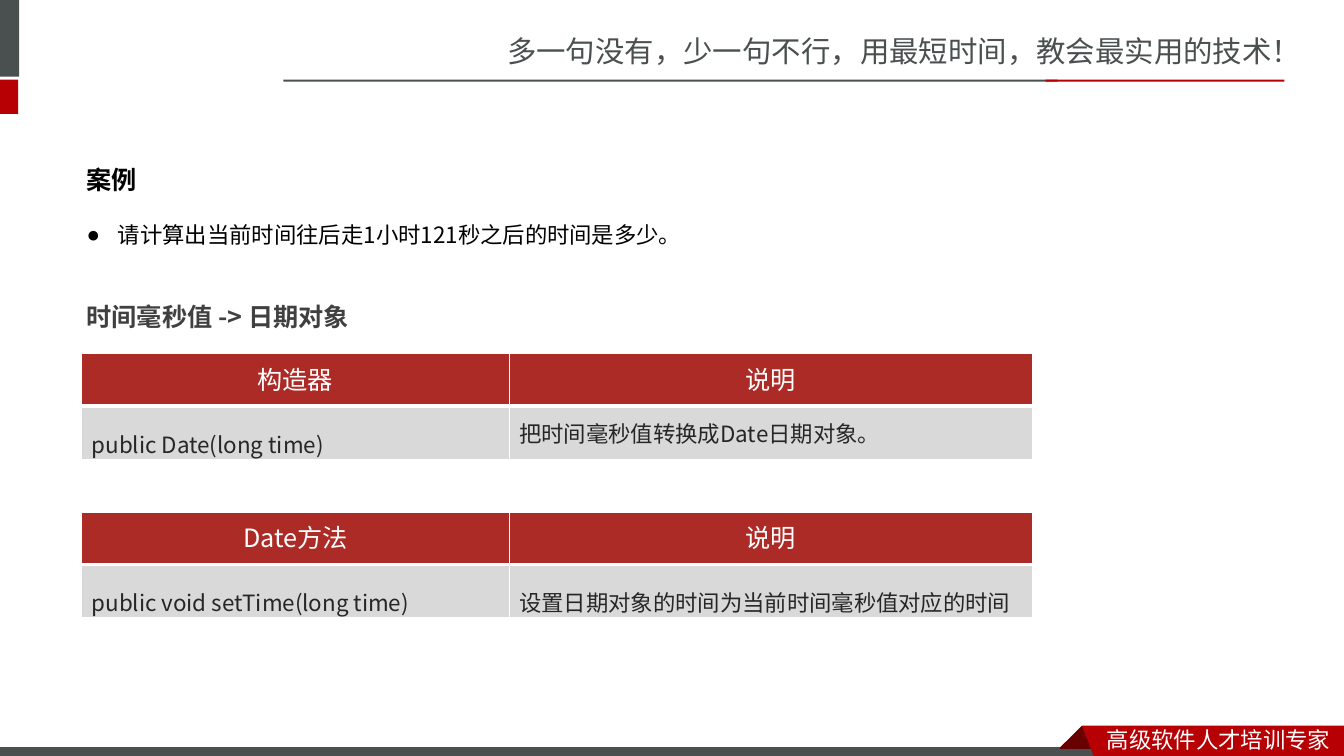
from lxml import etree
from pptx import Presentation
from pptx.dml.color import RGBColor
from pptx.enum.shapes import MSO_SHAPE
from pptx.enum.text import MSO_ANCHOR, MSO_AUTO_SIZE, PP_ALIGN
from pptx.oxml.ns import qn
from pptx.util import Pt

PX = 9144
RECTANGLE = MSO_SHAPE.RECTANGLE
TOP, MIDDLE = MSO_ANCHOR.TOP, MSO_ANCHOR.MIDDLE
LEFT, CENTER = PP_ALIGN.LEFT, PP_ALIGN.CENTER
NO_AUTOSIZE = MSO_AUTO_SIZE.NONE
SC_FONT, JP_FONT = "Noto Sans CJK SC", "Noto Sans CJK JP"
SLATE, RED, DARK_RED, WHITE = "49504F", "B60004", "680000", "FFFFFF"


def color(value):
    return RGBColor.from_string(value)


def add_run(paragraph, text, size, font_name, hex_color, bold=False):
    run = paragraph.add_run()
    run.text = text
    run.font.size = Pt(size)
    run.font.bold = bold
    run.font.color.rgb = color(hex_color)
    run.font.name = font_name
    properties = run.font._element
    etree.SubElement(properties, qn("a:ea")).set("typeface", font_name)


presentation = Presentation()
presentation.slide_width = 1333 * PX
presentation.slide_height = 750 * PX
slide = presentation.slides.add_slide(presentation.slide_layouts[1])
shapes = slide.shapes

title, body = slide.placeholders
for placeholder, box in ((title, (493, 28, 840, 47)), (body, (76, 128, 717, 117))):
    placeholder.left, placeholder.top, placeholder.width, placeholder.height = [
        length * PX for length in box
    ]
    placeholder.text_frame.auto_size = NO_AUTOSIZE
    placeholder.text_frame.vertical_anchor = TOP

slogan = title.text_frame.paragraphs[0]
slogan.alignment = LEFT
add_run(slogan, "多一句没有，少一句不行，用最短时间，教会最实用的技术！", 21, SC_FONT, SLATE)

case_heading = body.text_frame.paragraphs[0]
case_task = body.text_frame.add_paragraph()
for paragraph, indent, bullet in ((case_heading, 0, None), (case_task, 31, "●")):
    paragraph.line_spacing = 2.0
    paragraph.space_before = Pt(0)
    properties = paragraph._p.get_or_add_pPr()
    properties.set("marL", str(indent * PX))
    properties.set("indent", str(-indent * PX))
    if bullet:
        etree.SubElement(properties, qn("a:buChar")).set("char", bullet)
    else:
        etree.SubElement(properties, qn("a:buNone"))
add_run(case_heading, "案例", 18, JP_FONT, "000000", True)
add_run(case_task, "请计算出当前时间往后走1小时121秒之后的时间是多少。", 16, JP_FONT, "000000")

bars = [
    ((-6, 0, 25, 76), SLATE),
    ((-6, 79, 24, 34), RED),
    ((281, 79, 768, 2), SLATE),
    ((1037, 79, 237, 2), RED),
    ((-1, 741, 1100, 12), SLATE),
]
for box, fill in bars:
    bar = shapes.add_shape(RECTANGLE, *[length * PX for length in box])
    bar.shadow.inherit = False
    bar.fill.solid()
    bar.fill.fore_color.rgb = color(fill)
    bar.line.fill.background()
footer_bar = bar
footer_bar.line.color.rgb = color(WHITE)
footer_bar.line.width = Pt(0.75)

ribbon_parts = [
    ([(1073, 720), (1095, 742), (1094, 743), (1052, 743), (1051, 742)], DARK_RED),
    ([(1073, 720), (1333, 720), (1333, 754), (1086, 753)], RED),
]
for points, fill in ribbon_parts:
    builder = shapes.build_freeform(*points[0], scale=PX)
    builder.add_line_segments(points[1:], close=True)
    ribbon = builder.convert_to_shape()
    ribbon.shadow.inherit = False
    ribbon.fill.solid()
    ribbon.fill.fore_color.rgb = color(fill)
    ribbon.line.fill.background()

labels = [
    ((1088, 715, 245, 37), "高级软件人才培训专家", 16, SC_FONT, WHITE, False, 1.0),
    ((76, 279, 512, 109), "时间毫秒值 -> 日期对象", 18, JP_FONT, "404040", True, 1.5),
]
for box, text, size, font_name, hex_color, bold, spacing in labels:
    label = shapes.add_textbox(*[length * PX for length in box])
    label.text_frame.word_wrap = True
    paragraph = label.text_frame.paragraphs[0]
    paragraph.line_spacing = spacing
    add_run(paragraph, text, size, font_name, hex_color, bold)

tables = [
    (351, [("构造器", "说明"),
           ("public Date(long time)", "把时间毫秒值转换成Date日期对象。")]),
    (508, [("Date方法", "说明"),
           ("public void setTime(long time)", "设置日期对象的时间为当前时间毫秒值对应的时间")]),
]
for top, rows in tables:
    table = shapes.add_table(2, 2, 81 * PX, top * PX, 943 * PX, 105 * PX).table
    for column, width in zip(table.columns, (424, 519)):
        column.width = width * PX
    for row, height in zip(table.rows, (52, 53)):
        row.height = height * PX
    for row_index, texts in enumerate(rows):
        is_header = row_index == 0
        for column_index, text in enumerate(texts):
            cell = table.cell(row_index, column_index)
            cell.vertical_anchor = MIDDLE
            cell.fill.solid()
            cell.fill.fore_color.rgb = color("AD2B26" if is_header else "D9D9D9")
            thick_edge = "lnB" if is_header else "lnT"
            for position, edge in enumerate(("lnL", "lnR", "lnT", "lnB")):
                border = etree.Element(qn("a:" + edge))
                border.set("w", str(Pt(3 if edge == thick_edge else 1)))
                border_fill = etree.SubElement(border, qn("a:solidFill"))
                etree.SubElement(border_fill, qn("a:srgbClr")).set("val", WHITE)
                cell._tc.get_or_add_tcPr().insert(position, border)
            paragraph = cell.text_frame.paragraphs[0]
            if is_header:
                paragraph.alignment = CENTER
                paragraph.line_spacing = Pt(24)
                add_run(paragraph, text, 18, JP_FONT, WHITE)
            else:
                if text.startswith("把"):
                    paragraph.space_before = Pt(3)
                else:
                    paragraph.line_spacing = 1.5
                add_run(paragraph, text, 16, JP_FONT, "262626")

presentation.save("out.pptx")
